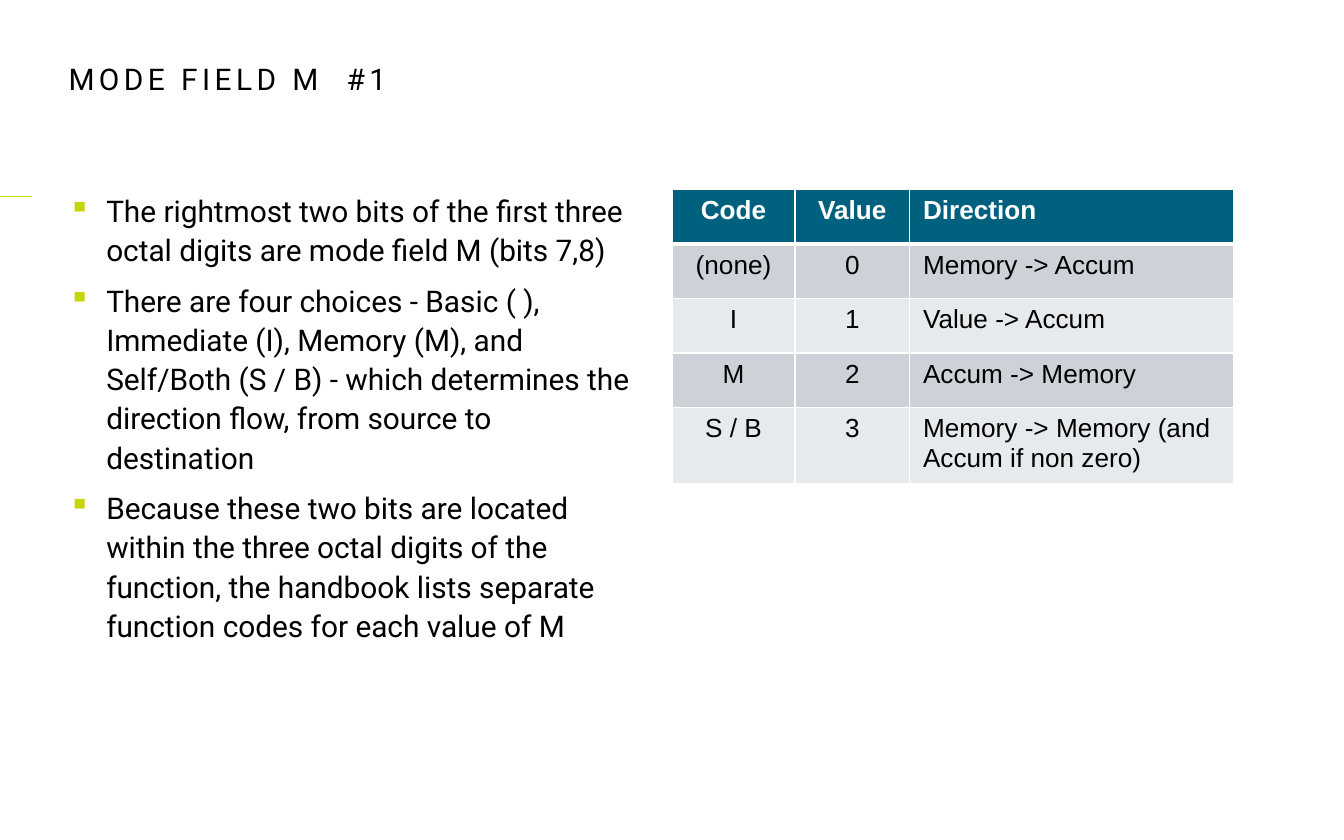
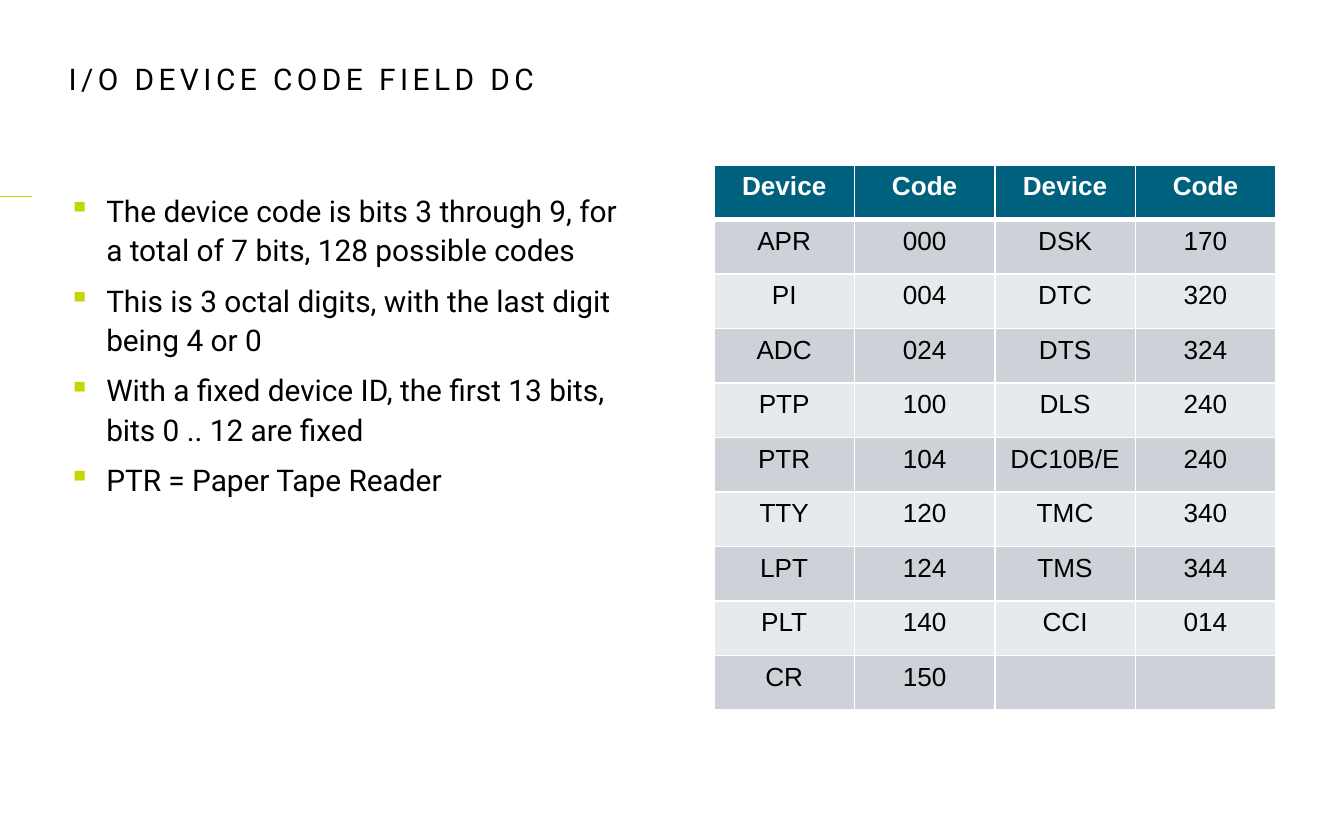
"""Build two slides on instruction fields, each with bullets and a table."""
from dataclasses import dataclass

from lxml import etree
from pptx import Presentation
from pptx.dml.color import RGBColor
from pptx.enum.shapes import MSO_CONNECTOR
from pptx.enum.text import MSO_ANCHOR, MSO_AUTO_SIZE, PP_ALIGN
from pptx.oxml.ns import qn
from pptx.util import Pt

STRAIGHT = MSO_CONNECTOR.STRAIGHT
LEFT, CENTER = PP_ALIGN.LEFT, PP_ALIGN.CENTER
TOP = MSO_ANCHOR.TOP
FIT_SHAPE, NO_FIT = MSO_AUTO_SIZE.SHAPE_TO_FIT_TEXT, MSO_AUTO_SIZE.NONE
BLANK_LAYOUT = 6


@dataclass(frozen=True)
class Theme:
    text: str = "000000"
    paper: str = "FFFFFF"
    accent: str = "C4D600"
    header: str = "00617F"
    bands: tuple = ("CCD2D8", "E7EAEC")
    text_font: str = "Roboto"
    table_font: str = "Arial"
    text_size: float = 16
    table_size: float = 14
    tracking: float = 2.4
    line_pitch: float = 21
    bullet_gap: float = 6
    bullet_indent: float = 20.2
    rule_width: float = 0.5
    border: float = 1
    header_border: float = 3
    row_height: float = 29.2
    margin: float = 36.7


THEME = Theme()


def rgb(color):
    return RGBColor.from_string(color)


def write(para, text, *, font=THEME.text_font, size=THEME.text_size,
          color=THEME.text, bold=False, align=LEFT, tracking=0):
    para.alignment = align
    span = para.add_run()
    span.text = text
    span.font.name = font
    span.font.size = Pt(size)
    span.font.bold = bold
    span.font.color.rgb = rgb(color)
    if tracking:
        span._r.get_or_add_rPr().set("spc", str(round(tracking * 100)))


def add_color(parent, tag, color):
    holder = etree.SubElement(parent, qn(tag))
    etree.SubElement(holder, qn("a:srgbClr"), val=color)


def add_bullet(para):
    props = para._p.get_or_add_pPr()
    props.set("marL", str(Pt(THEME.bullet_indent)))
    props.set("indent", str(-Pt(THEME.bullet_indent)))
    add_color(props, "a:buClr", THEME.accent)
    etree.SubElement(props, qn("a:buChar"), char="▪")
    para.line_spacing = Pt(THEME.line_pitch)
    para.space_after = Pt(THEME.bullet_gap)


def add_text_frame(page, left, top, width, height, auto_size):
    box = page.shapes.add_textbox(Pt(left), Pt(top), Pt(width), Pt(height))
    frame = box.text_frame
    frame.word_wrap = True
    frame.auto_size = auto_size
    frame.vertical_anchor = TOP
    frame.margin_left = frame.margin_right = 0
    frame.margin_top = frame.margin_bottom = 0
    return frame


def add_margin_rule(page):
    rule = page.shapes.add_connector(
        STRAIGHT, Pt(-8.6), Pt(105), Pt(17.3), Pt(105))
    rule.line.color.rgb = rgb(THEME.accent)
    rule.line.width = Pt(THEME.rule_width)
    etree.SubElement(rule._element.spPr, qn("a:effectLst"))


def add_title(page, text):
    frame = add_text_frame(page, THEME.margin, 32.4, 430.6, 19.4, FIT_SHAPE)
    write(frame.paragraphs[0], text, tracking=THEME.tracking)


def add_bullets(page, items):
    frame = add_text_frame(page, THEME.margin, 101.5, 301, 293.8, NO_FIT)
    for index, item in enumerate(items):
        para = frame.add_paragraph() if index else frame.paragraphs[0]
        add_bullet(para)
        write(para, item)


def add_borders(cell, row):
    props = cell._tc.get_or_add_tcPr()
    thick = {"T": row == 1, "B": row == 0}
    for side in "LRTB":
        width = THEME.header_border if thick.get(side) else THEME.border
        line = etree.SubElement(props, qn(f"a:ln{side}"), w=str(Pt(width)))
        add_color(line, "a:solidFill", THEME.paper)


def add_table(page, left, top, widths, rows, aligns):
    shape = page.shapes.add_table(
        len(rows), len(widths), Pt(left), Pt(top), Pt(sum(widths)),
        Pt(THEME.row_height * len(rows)))
    table = shape.table
    table.horz_banding = False
    for column, width in zip(table.columns, widths):
        column.width = Pt(width)
    for row, values in enumerate(rows):
        table.rows[row].height = Pt(THEME.row_height)
        is_header = row == 0
        fill = THEME.header if is_header else THEME.bands[(row - 1) % 2]
        for column, (value, align) in enumerate(zip(values, aligns)):
            cell = table.cell(row, column)
            add_borders(cell, row)
            cell.fill.solid()
            cell.fill.fore_color.rgb = rgb(fill)
            if value:
                write(cell.text_frame.paragraphs[0], value,
                      font=THEME.table_font, size=THEME.table_size,
                      color=THEME.paper if is_header else THEME.text,
                      bold=is_header, align=align)


def add_page(deck, title, bullets):
    page = deck.slides.add_slide(deck.slide_layouts[BLANK_LAYOUT])
    page.background.fill.solid()
    page.background.fill.fore_color.rgb = rgb(THEME.paper)
    add_margin_rule(page)
    add_title(page, title)
    add_bullets(page, bullets)
    return page


def add_mode_page(deck):
    page = add_page(deck, "MODE FIELD M  #1", [
        "The rightmost two bits of the first three octal digits are mode "
        "field M (bits 7,8)",
        "There are four choices - Basic ( ), Immediate (I), Memory (M), and "
        "Self/Both (S / B) - which determines the direction flow, from "
        "source to destination",
        "Because these two bits are located within the three octal digits "
        "of the function, the handbook lists separate function codes for "
        "each value of M",
    ])
    rows = [
        ("Code", "Value", "Direction"),
        ("(none)", "0", "Memory -> Accum"),
        ("I", "1", "Value -> Accum"),
        ("M", "2", "Accum -> Memory"),
        ("S / B", "3", "Memory -> Memory (and Accum if non zero)"),
    ]
    add_table(page, 360, 101.5, (66, 61.3, 173.5), rows,
              (CENTER, CENTER, LEFT))


def add_device_page(deck):
    page = add_page(deck, "I/O DEVICE CODE FIELD DC", [
        "The device code is bits 3 through 9, for a total of 7 bits, 128 "
        "possible codes",
        "This is 3 octal digits, with the last digit being 4 or 0",
        "With a fixed device ID, the first 13 bits, bits 0 .. 12 are fixed",
        "PTR = Paper Tape Reader",
    ])
    rows = [
        ("Device", "Code", "Device", "Code"),
        ("APR", "000", "DSK", "170"),
        ("PI", "004", "DTC", "320"),
        ("ADC", "024", "DTS", "324"),
        ("PTP", "100", "DLS", "240"),
        ("PTR", "104", "DC10B/E", "240"),
        ("TTY", "120", "TMC", "340"),
        ("LPT", "124", "TMS", "344"),
        ("PLT", "140", "CCI", "014"),
        ("CR", "150", "", ""),
    ]
    add_table(page, 382.5, 88.5, (75.25,) * 4, rows, (CENTER,) * 4)


def main():
    deck = Presentation()
    deck.slide_width, deck.slide_height = Pt(720), Pt(450)
    add_mode_page(deck)
    add_device_page(deck)
    deck.save("out.pptx")


if __name__ == "__main__":
    main()
